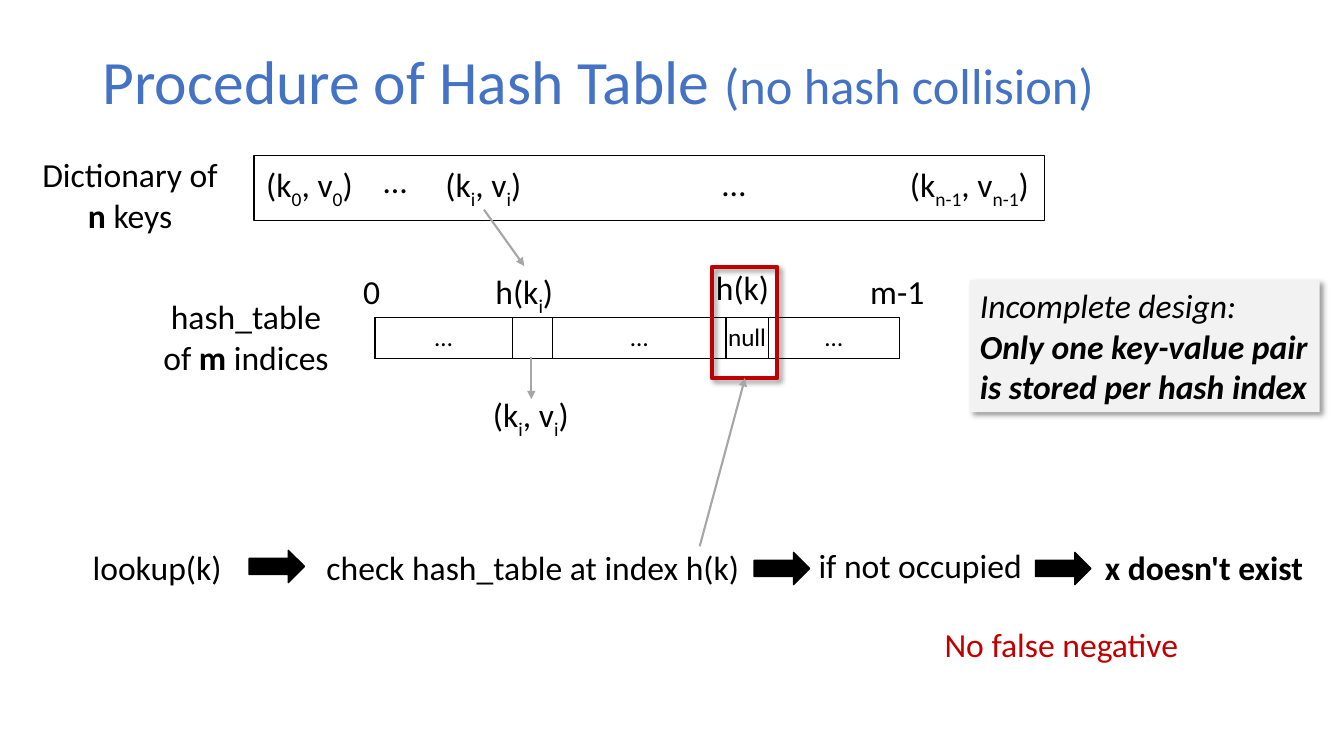
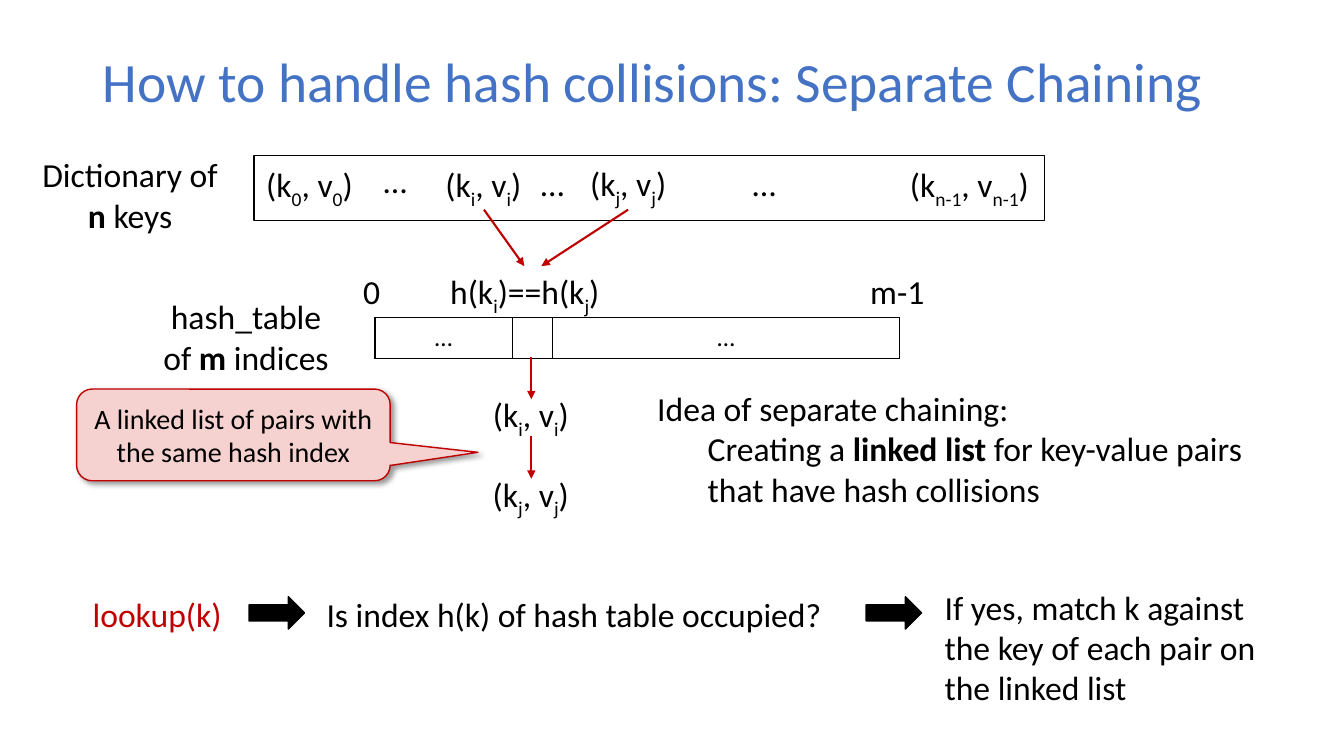
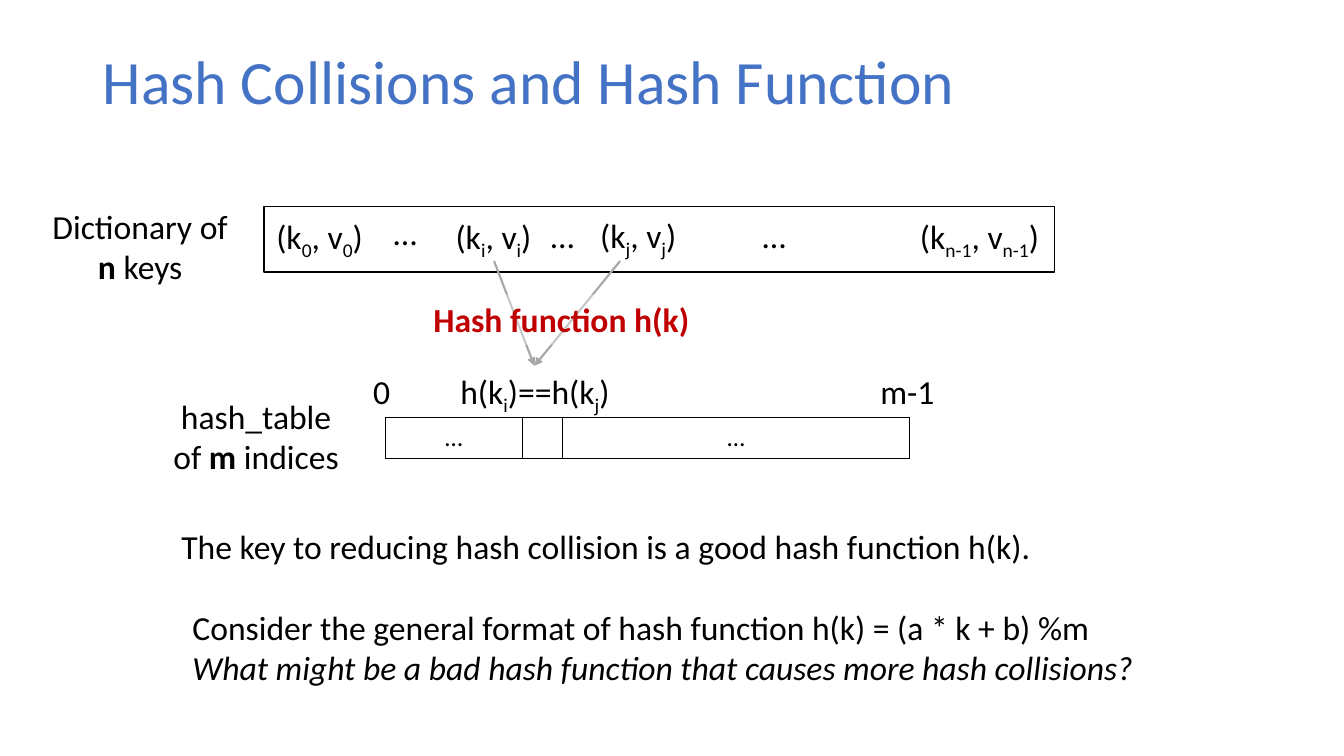
from dataclasses import dataclass
from typing import NamedTuple, Optional, Union

import pptx
import pptx.dml.color
import pptx.enum.shapes
import pptx.enum.text
import pptx.oxml
import pptx.oxml.ns
import pptx.shapes.autoshape
import pptx.slide
import pptx.text.text
import pptx.util

EMU_PER_PX = 9144  # 100 px to the inch
FONT = "Calibri"
BODY_SIZE = 24
TEXT_HEIGHT = 50
COLORS = {
    "title": "4472C4",
    "text": "000000",
    "accent": "C00000",
    "arrow": "A6A6A6",
    "note": "F2F2F2",
    "callout": "F5D1CF",
    "veil": "FFFFFF",
}
ALIGN = pptx.enum.text.PP_ALIGN
ANCHOR = pptx.enum.text.MSO_ANCHOR
SHAPE = pptx.enum.shapes.MSO_SHAPE


@dataclass(frozen=True)
class Run:
    text: str
    bold: bool = False
    italic: bool = False
    subscript: bool = False
    size: Optional[float] = None


@dataclass(frozen=True)
class Paragraph:
    runs: list[Run]
    indent: int = 0


class Box(NamedTuple):
    left: int
    top: int
    width: int
    height: int = TEXT_HEIGHT


class Point(NamedTuple):
    x: int
    y: int


class Arrow(NamedTuple):
    start: Point
    end: Point


class Cell(NamedTuple):
    width: int
    text: str = ""


Text = Union[str, list[Run], list[Paragraph]]


def px(length: int) -> pptx.util.Emu:
    return pptx.util.Emu(length * EMU_PER_PX)


def rgb(name: str) -> pptx.dml.color.RGBColor:
    return pptx.dml.color.RGBColor.from_string(COLORS[name])


def xml(markup: str):
    """Parse one drawing element whose tag carries the a: prefix."""
    tag, rest = markup[:-2].split(" ", 1) if " " in markup.split(">")[0] else (markup[:-2], "")
    return pptx.oxml.parse_xml(f"{tag} {pptx.oxml.ns.nsdecls('a')} {rest}{markup[-2:]}")


def sub(text: str) -> Run:
    return Run(text, subscript=True)


def pair(index: str) -> list[Run]:
    return [Run("(k"), sub(index), Run(", v"), sub(index), Run(")")]


def to_paragraphs(text: Text) -> list[Paragraph]:
    if isinstance(text, str):
        text = [Run(text)]
    if isinstance(text[0], Run):
        text = [Paragraph(text)]
    return text


def write(
    frame: pptx.text.text.TextFrame,
    text: Text,
    *,
    size: float = BODY_SIZE,
    color: str = "text",
    bold: bool = False,
    align: ALIGN = ALIGN.LEFT,
    anchor: ANCHOR = ANCHOR.TOP,
    wrap: bool = False,
    grow: bool = True,
    line_spacing: float = 1.0,
) -> None:
    frame.word_wrap = wrap
    frame.vertical_anchor = anchor
    sizing = pptx.enum.text.MSO_AUTO_SIZE
    frame.auto_size = sizing.SHAPE_TO_FIT_TEXT if grow else sizing.NONE
    for number, content in enumerate(to_paragraphs(text)):
        paragraph = frame.add_paragraph() if number else frame.paragraphs[0]
        paragraph.alignment = align
        paragraph.line_spacing = line_spacing
        if content.indent:
            properties = paragraph._p.get_or_add_pPr()
            properties.set("marL", str(px(content.indent)))
            properties.set("indent", "0")
        for part in content.runs:
            run = paragraph.add_run()
            run.text = part.text
            run.font.name = FONT
            run.font.size = pptx.util.Pt(part.size or size)
            run.font.bold = bold or part.bold
            run.font.italic = part.italic
            run.font.color.rgb = rgb(color)
            if part.subscript:
                run.font._element.set("baseline", "-25000")


def add_text(slide: pptx.slide.Slide, box: Box, text: Text, **text_format) -> None:
    shape = slide.shapes.add_textbox(*map(px, box))
    write(shape.text_frame, text, **text_format)


def add_shape(
    slide: pptx.slide.Slide,
    kind: SHAPE,
    box: Box,
    *,
    fill: Optional[str] = None,
    opacity: int = 100,
    line: Optional[str] = None,
    line_width: int = 1,
    shadow: bool = False,
) -> pptx.shapes.autoshape.Shape:
    shape = slide.shapes.add_shape(kind, *map(px, box))
    shape.shadow.inherit = False
    properties = shape._element.spPr
    if fill:
        shape.fill.solid()
        shape.fill.fore_color.rgb = rgb(fill)
        if opacity < 100:
            fill_color = properties.find(".//" + pptx.oxml.ns.qn("a:srgbClr"))
            fill_color.append(xml(f'<a:alpha val="{opacity * 1000}"/>'))
    else:
        shape.fill.background()
    if line:
        shape.line.color.rgb = rgb(line)
        shape.line.width = pptx.util.Pt(line_width)
    else:
        shape.line.fill.background()
    if shadow:
        effect = pptx.oxml.parse_xml(
            f'<a:outerShdw {pptx.oxml.ns.nsdecls("a")} blurRad="50800" dist="38100" '
            'dir="2700000" algn="tl" rotWithShape="0"><a:srgbClr val="000000">'
            '<a:alpha val="40000"/></a:srgbClr></a:outerShdw>'
        )
        properties.find(pptx.oxml.ns.qn("a:effectLst")).append(effect)
    return shape


def add_arrows(slide: pptx.slide.Slide, arrows: list[Arrow], color: str = "arrow") -> None:
    for start, end in arrows:
        connector = slide.shapes.add_connector(
            pptx.enum.shapes.MSO_CONNECTOR.STRAIGHT, *map(px, (*start, *end))
        )
        connector.line.color.rgb = rgb(color)
        connector.line.width = pptx.util.Pt(1.5)
        properties = connector._element.spPr
        properties.find(pptx.oxml.ns.qn("a:ln")).append(xml('<a:tailEnd type="triangle"/>'))
        properties.append(xml("<a:effectLst/>"))


def add_step_arrow(slide: pptx.slide.Slide, left: int, top: int) -> None:
    add_shape(slide, SHAPE.RIGHT_ARROW, Box(left, top, 55, 32), fill="text", line="text")


def add_cells(slide: pptx.slide.Slide, origin: Point, cells: list[Cell]) -> None:
    """Draw a one-row bordered table."""
    width = sum(cell.width for cell in cells)
    frame = slide.shapes.add_table(1, len(cells), *map(px, (*origin, width, 41)))
    table = frame.table
    table.first_row = table.horz_banding = False
    table.rows[0].height = px(41)
    for column, content in enumerate(cells):
        table.columns[column].width = px(content.width)
        cell = table.cell(0, column)
        cell.margin_left = cell.margin_right = 0
        cell.margin_top = cell.margin_bottom = px(5)
        properties = cell._tc.get_or_add_tcPr()
        for side in "LRTB":
            properties.append(pptx.oxml.parse_xml(
                f'<a:ln{side} {pptx.oxml.ns.nsdecls("a")} w="12700"><a:solidFill>'
                f'<a:srgbClr val="{COLORS["text"]}"/></a:solidFill></a:ln{side}>'
            ))
        cell.fill.background()
        if content.text:
            paragraph = cell.text_frame.paragraphs[0]
            paragraph.alignment = ALIGN.CENTER
            run = paragraph.add_run()
            run.text = content.text
            run.font.name = FONT
            run.font.size = pptx.util.Pt(18)
            run.font.color.rgb = rgb("text")


def add_titled_slide(
    presentation, title: Text, size: float = 44
) -> pptx.slide.Slide:
    slide = presentation.slides.add_slide(presentation.slide_layouts[6])
    add_text(slide, Box(92, 40, 1150, 87), title, size=size, color="title",
             anchor=ANCHOR.MIDDLE, wrap=True, grow=False, line_spacing=0.9)
    return slide


def add_dictionary(
    slide: pptx.slide.Slide, origin: Point, last_dots: int, collision: bool
) -> None:
    """Draw the row of key-value pairs; last_dots is the offset of its last ellipsis."""
    left, top = origin
    entries = [
        (Box(0, 4, 110), pair("0")),
        (Box(118, 0, 44), "…"),
        (Box(179, 4, 97), pair("i")),
        (Box(last_dots, 3, 44), "…"),
        (Box(636, 4, 147), pair("n-1")),
    ]
    if collision:
        entries += [(Box(274, 3, 44), "…"), (Box(322, 3, 98), pair("j"))]
    for box, text in entries:
        add_text(slide, box._replace(left=left + box.left, top=top + box.top), text,
                 align=ALIGN.CENTER)
    add_shape(slide, SHAPE.RECTANGLE, Box(left, top, 784, 65), line="text")
    add_text(slide, Box(left - 224, top - 6, 202, 91),
             [Run("Dictionary of "), Run("n ", bold=True), Run("keys")],
             align=ALIGN.CENTER, wrap=True)


def add_hash_table(
    slide: pptx.slide.Slide, origin: Point, right_cells: list[Cell], collision: bool
) -> None:
    """Draw the index row, its captions and its label."""
    left, top = origin
    add_cells(slide, origin, [Cell(136, "…"), Cell(40), *right_cells])
    if collision:
        index_box = Box(left + 63, top - 51, 171)
        index_text = [Run("h(k"), sub("i"), Run(")==h(k"), sub("j"), Run(")")]
    else:
        index_box = Box(left + 109, top - 51, 78)
        index_text = [Run("h(k"), sub("i"), Run(")")]
    captions = [
        (Box(left - 22, top - 51, 37), "0"),
        (index_box, index_text),
        (Box(left + 481, top - 51, 74), "m-1"),
    ]
    for box, text in captions:
        add_text(slide, box, text, align=ALIGN.CENTER)
    add_text(slide, Box(left - 229, top - 26, 202, 91),
             [Run("hash_table of "), Run("m", bold=True), Run(" indices")],
             align=ALIGN.CENTER, wrap=True)


DICTIONARY = Point(252, 154)
HASH_TABLE = Point(372, 315)
KEY_TO_INDEX = Arrow(Point(480, 208), Point(520, 264))
INDEX_TO_PAIR = Arrow(Point(527, 354), Point(527, 396))
MERGED_CELLS = [Cell(344, "…")]


def build_procedure(presentation) -> None:
    slide = add_titled_slide(
        presentation, [Run("Procedure of Hash Table "), Run("(no hash collision)", size=36)]
    )
    add_dictionary(slide, DICTIONARY, last_dots=454, collision=False)
    add_hash_table(slide, HASH_TABLE,
                   [Cell(172, "…"), Cell(42, "null"), Cell(130, "…")], collision=False)
    add_text(slide, Box(478, 386, 97), pair("i"), align=ALIGN.CENTER)
    add_text(slide, Box(700, 260, 73), "h(k)", align=ALIGN.CENTER)
    add_shape(slide, SHAPE.RECTANGLE, Box(706, 265, 65, 110),
              line="accent", line_width=3, shadow=True)
    add_arrows(slide, [KEY_TO_INDEX, INDEX_TO_PAIR, Arrow(Point(694, 542), Point(739, 375))])

    add_text(slide, Box(82, 538, 148), "lookup(k)")
    add_text(slide, Box(314, 538, 444), "check hash_table at index h(k)")
    add_text(slide, Box(802, 536, 224), "if not occupied")
    add_text(slide, Box(1086, 538, 220), "x doesn't exist", bold=True)
    for left, top in ((247, 546), (748, 548), (1027, 548)):
        add_step_arrow(slide, left, top)
    add_text(slide, Box(927, 614, 254), "No false negative", color="accent")

    note = add_shape(slide, SHAPE.RECTANGLE, Box(962, 278, 347, 131), fill="note", shadow=True)
    write(note.text_frame, [
        Paragraph([Run("Incomplete design:", italic=True)]),
        Paragraph([Run("Only one key-value pair is stored per hash index",
                       bold=True, italic=True)]),
    ], wrap=True)


def build_chaining(presentation) -> None:
    slide = add_titled_slide(
        presentation, "How to handle hash collisions: Separate Chaining", size=39.6
    )
    add_dictionary(slide, DICTIONARY, last_dots=484, collision=True)
    add_hash_table(slide, HASH_TABLE, MERGED_CELLS, collision=True)
    for top, index in ((386, "i"), (465, "j")):
        add_text(slide, Box(478, top, 97), pair(index), align=ALIGN.CENTER)
    add_arrows(slide, [
        KEY_TO_INDEX,
        Arrow(Point(623, 208), Point(537, 264)),
        INDEX_TO_PAIR,
        Arrow(Point(527, 433), Point(527, 475)),
    ], color="accent")

    add_text(slide, Box(82, 584, 149), "lookup(k)", color="accent")
    add_text(slide, Box(314, 584, 511), "Is index h(k) of hash table occupied?", wrap=True)
    add_text(slide, Box(927, 577, 362, 131),
             "If yes, match k against the key of each pair on the linked list", wrap=True)
    for left in (247, 859):
        add_step_arrow(slide, left, 592)

    add_text(slide, Box(642, 380, 628, 131), [
        Paragraph([Run("Idea of separate chaining:")]),
        Paragraph([Run("Creating a "), Run("linked list ", bold=True),
                   Run("for key-value pairs that have hash collisions")], indent=50),
    ], wrap=True)
    callout = add_shape(slide, SHAPE.ROUNDED_RECTANGULAR_CALLOUT, Box(76, 386, 311, 91),
                        fill="callout", line="accent", shadow=True)
    for number, value in enumerate((0.78, 0.19, 0.17)):
        callout.adjustments[number] = value
    write(callout.text_frame, "A linked list of pairs with the same hash index", size=20,
          align=ALIGN.CENTER, anchor=ANCHOR.MIDDLE, wrap=True, grow=False)


def build_hash_function(presentation) -> None:
    slide = add_titled_slide(presentation, "Hash Collisions and Hash Function")
    add_dictionary(slide, Point(262, 205), last_dots=484, collision=True)
    add_hash_table(slide, Point(382, 414), MERGED_CELLS, collision=True)
    shared_index = Point(530, 363)
    add_arrows(slide, [Arrow(Point(x, 259), shared_index) for x in (490, 615)])

    statements = [
        (Box(420, 292, 277), "Hash function h(k)", {"color": "accent", "bold": True}),
        (Box(170, 517, 862),
         "The key to reducing hash collision is a good hash function h(k).", {}),
    ]
    for box, text, text_format in statements:
        shape = add_shape(slide, SHAPE.RECTANGLE, box, fill="veil", opacity=38)
        write(shape.text_frame, text, **text_format)
    add_text(slide, Box(181, 597, 962, 91), [
        Paragraph([Run("Consider the general format of hash function h(k) = (a * k + b) %m")]),
        Paragraph([Run("What might be a bad hash function that causes more hash collisions?",
                       italic=True)]),
    ])


def main() -> None:
    presentation = pptx.Presentation()
    presentation.slide_width = px(1333)
    presentation.slide_height = px(750)
    build_procedure(presentation)
    build_chaining(presentation)
    build_hash_function(presentation)
    presentation.save("out.pptx")


if __name__ == "__main__":
    main()
